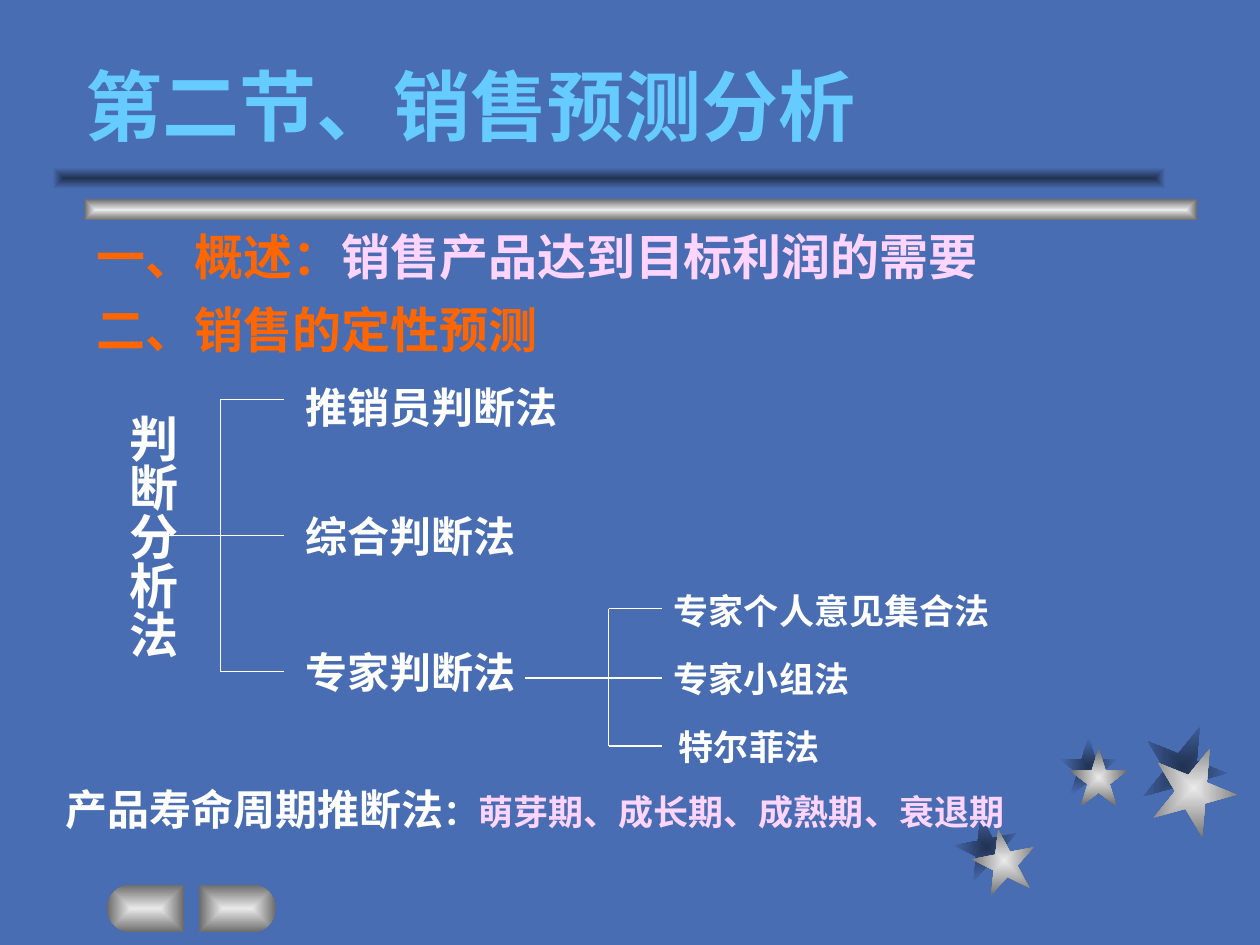
from math import cos, pi, sin

from lxml.etree import SubElement
from pptx import Presentation
from pptx.dml.color import RGBColor
from pptx.enum.shapes import MSO_CONNECTOR, MSO_SHAPE
from pptx.enum.text import MSO_ANCHOR
from pptx.oxml.ns import qn
from pptx.util import Inches, Pt

FONT = "Noto Sans CJK SC"
COLORS = {
    "background": "496DB2",
    "shade": "213252",
    "silver": "EAEAEA",
    "steel": "6B6B6B",
    "title": "66CCFF",
    "heading": "FF6600",
    "pink": "FFD5FF",
    "white": "FFFFFF",
}
SHADOW = ("shade", "background")
METAL = ("silver", "steel")


def rgb(name):
    return RGBColor.from_string(COLORS[name])


def style_gradient(shape, gradient):
    """Fill from the centre outwards in a rectangular gradient, without outline."""
    shape.shadow.inherit = False
    shape.line.fill.background()
    shape.fill.gradient()
    for stop, color in zip(shape.fill.gradient_stops, gradient):
        stop.color.rgb = rgb(color)
    grad_fill = shape._element.spPr.find(qn("a:gradFill"))
    grad_fill.remove(grad_fill.find(qn("a:lin")))
    path = SubElement(grad_fill, qn("a:path"), {"path": "rect"})
    SubElement(path, qn("a:fillToRect"), {side: "50000" for side in "ltrb"})


def add_gradient_shape(slide, kind, left, top, width, height, gradient, rotation=0):
    shape = slide.shapes.add_shape(
        kind, Inches(left), Inches(top), Inches(width), Inches(height))
    shape.rotation = rotation
    style_gradient(shape, gradient)


def add_button(slide, flat_side, direction):
    """Add a button with one flat side, rounded towards direction (-1 left, 1 right)."""
    top, radius, straight = 7.02, 0.19, 0.42
    steps = 16
    points = [(flat_side, top)]
    for step in range(steps + 1):
        angle = pi * step / steps
        points.append((flat_side + direction * (straight + radius * sin(angle)),
                       top + radius - radius * cos(angle)))
    points.append((flat_side, top + 2 * radius))
    points = [(Inches(x), Inches(y)) for x, y in points]
    builder = slide.shapes.build_freeform(*points[0])
    builder.add_line_segments(points[1:], close=True)
    style_gradient(builder.convert_to_shape(), METAL)


def add_text(slide, left, top, width, height, size, runs, anchor=MSO_ANCHOR.TOP):
    """Add one bold line; runs holds (text, colour, size or None) tuples."""
    box = slide.shapes.add_textbox(
        Inches(left), Inches(top), Inches(width), Inches(height))
    frame = box.text_frame
    frame.word_wrap = True
    frame.vertical_anchor = anchor
    paragraph = frame.paragraphs[0]
    paragraph.font.name = FONT
    paragraph.font.size = Pt(size)
    paragraph.font.bold = True
    fonts = [paragraph.font]
    for text, color, run_size in runs:
        run = paragraph.add_run()
        run.text = text
        run.font.color.rgb = rgb(color)
        if run_size:
            run.font.size = Pt(run_size)
        fonts.append(run.font)
    for font in fonts:
        SubElement(font._element, qn("a:ea"), {"typeface": FONT})
    return box


def add_vertical_text(slide, left, top, width, height, size, text):
    frame = add_text(slide, left, top, width, height, size,
                     [(text, "white", None)]).text_frame
    frame.word_wrap = False
    frame.margin_left = frame.margin_right = Inches(0.05)
    frame.margin_top = frame.margin_bottom = Inches(0.1)
    frame._txBody.bodyPr.set("vert", "eaVert")


def add_line(slide, start, end, width):
    line = slide.shapes.add_connector(
        MSO_CONNECTOR.STRAIGHT, *(Inches(value) for value in (*start, *end)))
    line.line.color.rgb = rgb("white")
    line.line.width = Pt(width)
    SubElement(line._element.spPr, qn("a:effectLst"))


def add_bracket(slide, stem_start, spine, branch_end, levels, width):
    """Add a stem to the middle level, a spine and one branch for each level."""
    middle = levels[len(levels) // 2]
    add_line(slide, (stem_start, middle), (spine, middle), 1)
    add_line(slide, (spine, levels[0]), (spine, levels[-1]), width)
    for level in levels:
        add_line(slide, (spine, level), (branch_end, level), width)


def add_decoration(slide):
    stars = {
        SHADOW: [(7.58, 6.47, 0.5, 349), (8.41, 5.85, 0.46, 0), (9.06, 5.75, 0.67, 22)],
        METAL: [(7.72, 6.58, 0.5, 349), (8.49, 5.94, 0.46, 0), (9.14, 5.92, 0.67, 22)],
    }
    for gradient, places in stars.items():
        for left, top, size, rotation in places:
            add_gradient_shape(slide, MSO_SHAPE.STAR_5_POINT, left, top, size, size,
                               gradient, rotation)
    for left, top, gradient in [(0.67, 1.58, METAL), (0.42, 1.33, SHADOW)]:
        add_gradient_shape(slide, MSO_SHAPE.RECTANGLE, left, top, 8.83, 0.17, gradient)
    add_button(slide, 1.46, -1)
    add_button(slide, 1.58, 1)


def main():
    presentation = Presentation()
    presentation.slide_width = Inches(10)
    presentation.slide_height = Inches(7.5)
    slide = presentation.slides.add_slide(presentation.slide_layouts[6])
    slide.background.fill.solid()
    slide.background.fill.fore_color.rgb = rgb("background")
    add_decoration(slide)

    add_text(slide, 0.58, 0.5, 9.08, 0.75, 44,
             [("第二节、销售预测分析", "title", None)], MSO_ANCHOR.BOTTOM)
    add_text(slide, 0.67, 1.75, 8.67, 0.57, 28,
             [("一、概述：", "heading", None),
              ("销售产品达到目标利润的需要", "pink", None)])
    add_text(slide, 0.67, 2.33, 6.42, 0.57, 28,
             [("二、销售的定性预测", "heading", None)])

    add_vertical_text(slide, 0.83, 3.19, 0.66, 2.13, 28, "判断分析法")
    add_bracket(slide, 1.33, 1.75, 2.25, (3.17, 4.25, 5.33), 1)
    for text, top in [("推销员判断法", 2.98), ("综合判断法", 4), ("专家判断法", 5.08)]:
        add_text(slide, 2.33, top, 2.42, 0.5, 24, [(text, "white", None)])

    add_bracket(slide, 4.17, 4.83, 5.25, (4.83, 5.38, 5.92), 0.75)
    for text, left, top in [("专家个人意见集合法", 5.25, 4.63),
                            ("专家小组法", 5.25, 5.17),
                            ("特尔菲法", 5.29, 5.71)]:
        add_text(slide, left, top, 3.08, 0.44, 20, [(text, "white", None)])

    add_text(slide, 0.42, 6.17, 7.75, 0.5, 24,
             [("产品寿命周期推断法", "white", None),
              ("：", "white", 20),
              ("萌芽期、成长期、成熟期、衰退期", "pink", 20)])
    presentation.save("out.pptx")


if __name__ == "__main__":
    main()
